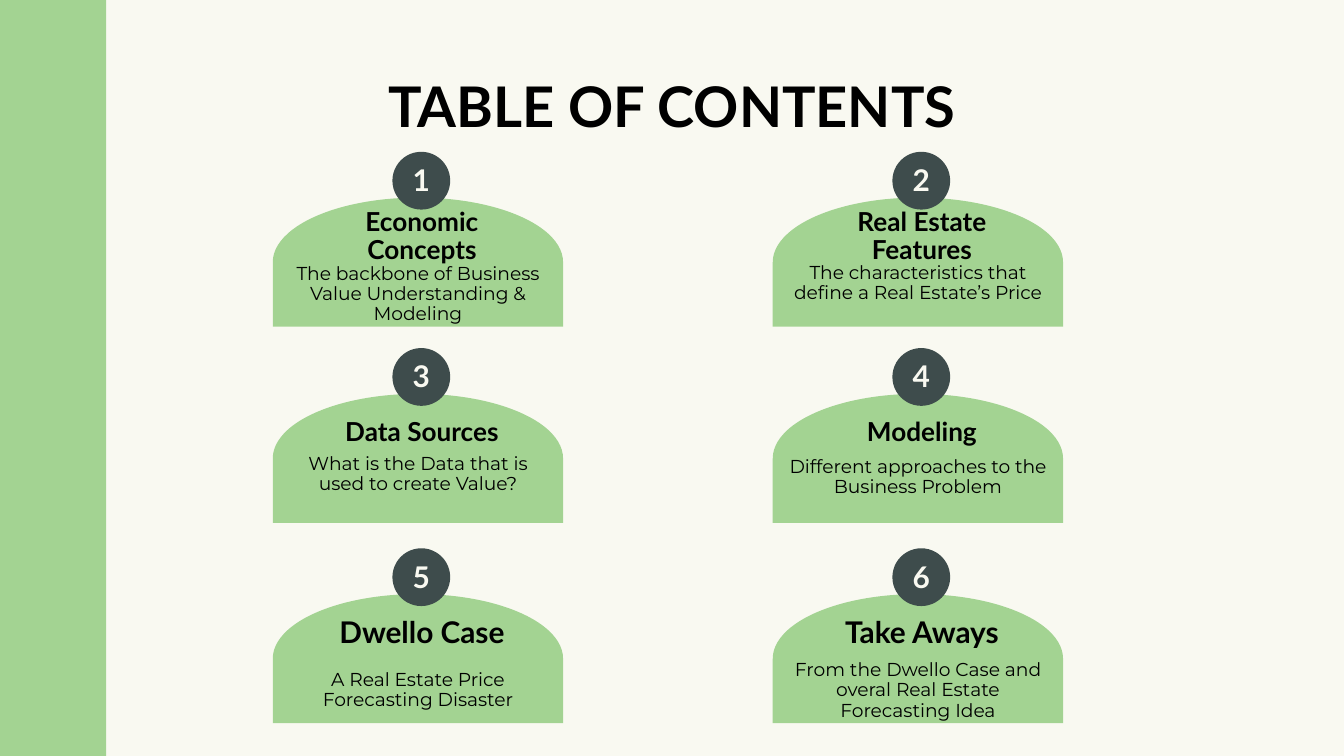
from pptx import Presentation
from pptx.dml.color import RGBColor
from pptx.enum import shapes, text
from pptx.util import Inches, Pt

GREEN = RGBColor(0xA3, 0xD3, 0x92)
SLATE = RGBColor(0x3E, 0x4C, 0x4C)
CREAM = RGBColor(0xF9, 0xF9, 0xF1)
BLACK = RGBColor(0, 0, 0)

SLIDE_WIDTH = 10
SLIDE_HEIGHT = SLIDE_WIDTH * 9 / 16
CARD_WIDTH = 2.16
COLUMN_LEFTS = (2.03, 5.75)
ROW_TOPS = (1.13, 2.59, 4.08)

CARDS = [
    ("Economic Concepts", 14,
     "The backbone of Business Value Understanding & Modeling", 0.92),
    ("Real Estate Features", 14,
     "The characteristics that define a Real Estate’s Price", 0.84),
    ("Data Sources", 14,
     "What is the Data that is used to create Value?", 0.8),
    ("Modeling", 14,
     "Different approaches to the Business Problem", 0.82),
    ("Dwello Case", 16,
     "A Real Estate Price Forecasting Disaster", 0.92),
    ("Take Aways", 16,
     "From the Dwello Case and overal Real Estate Forecasting Idea", 0.92),
]


def write_text(shape, words, size, font="Lato", color=BLACK, bold=True):
    """Fill a shape with one centred, formatted paragraph."""
    frame = shape.text_frame
    frame.text = words
    frame.word_wrap = True
    frame.auto_size = text.MSO_AUTO_SIZE.NONE
    frame.vertical_anchor = text.MSO_ANCHOR.MIDDLE
    paragraph = frame.paragraphs[0]
    paragraph.alignment = text.PP_ALIGN.CENTER
    paragraph.line_spacing = 0.9
    paragraph.space_before = Pt(0)
    paragraph.font.name = font
    paragraph.font.size = Pt(size)
    paragraph.font.bold = bold
    paragraph.font.color.rgb = color


def add_filled_shape(slide, kind, left, top, width, height, color):
    """Add a flat preset shape without outline or shadow."""
    shape = slide.shapes.add_shape(
        kind, Inches(left), Inches(top), Inches(width), Inches(height))
    shape.shadow.inherit = False
    shape.fill.solid()
    shape.fill.fore_color.rgb = color
    shape.line.fill.background()
    return shape


def add_text_box(slide, left, top, width, height):
    """Add an empty text box."""
    return slide.shapes.add_textbox(
        Inches(left), Inches(top), Inches(width), Inches(height))


def add_title(slide, left, top, width, height):
    """Place and format the title placeholder."""
    title = slide.shapes.title
    title.left, title.top = Inches(left), Inches(top)
    title.width, title.height = Inches(width), Inches(height)
    write_text(title, "TABLE OF CONTENTS", 30)


def add_card(slide, left, top, width, number, card):
    """Draw a domed card with its number badge, heading and description."""
    heading, heading_size, description, description_offset = card
    dome_height, badge_size = 0.96, 0.43
    dome = add_filled_shape(
        slide, shapes.MSO_SHAPE.FLOWCHART_DELAY,
        left + (width - dome_height) / 2,
        top + 0.34 + (dome_height - width) / 2,
        dome_height, width, GREEN)
    dome.rotation = 270

    add_filled_shape(
        slide, shapes.MSO_SHAPE.OVAL, left + 0.89, top,
        badge_size, badge_size, SLATE)

    description_box = add_text_box(
        slide, left, top + description_offset, width, 0.28)
    write_text(description_box, description, 10, "Montserrat", bold=False)
    heading_box = add_text_box(slide, left + 0.19, top + 0.49, 1.84, 0.29)
    write_text(heading_box, heading, heading_size)
    number_box = add_text_box(slide, left - 0.29, top + 0.01, 2.79, badge_size)
    write_text(number_box, str(number), 16, color=CREAM)


def main():
    """Build and save the table of contents slide."""
    presentation = Presentation()
    presentation.slide_width = Inches(SLIDE_WIDTH)
    presentation.slide_height = Inches(SLIDE_HEIGHT)
    slide = presentation.slides.add_slide(presentation.slide_layouts[5])
    slide.background.fill.solid()
    slide.background.fill.fore_color.rgb = CREAM

    add_filled_shape(
        slide, shapes.MSO_SHAPE.RECTANGLE, 0, 0, 0.79, SLIDE_HEIGHT, GREEN)
    add_title(slide, 0.79, 0.6, 8.42, 0.43)
    for index, card in enumerate(CARDS):
        row, column = divmod(index, len(COLUMN_LEFTS))
        add_card(slide, COLUMN_LEFTS[column], ROW_TOPS[row], CARD_WIDTH,
                 index + 1, card)
    presentation.save("out.pptx")


if __name__ == "__main__":
    main()
